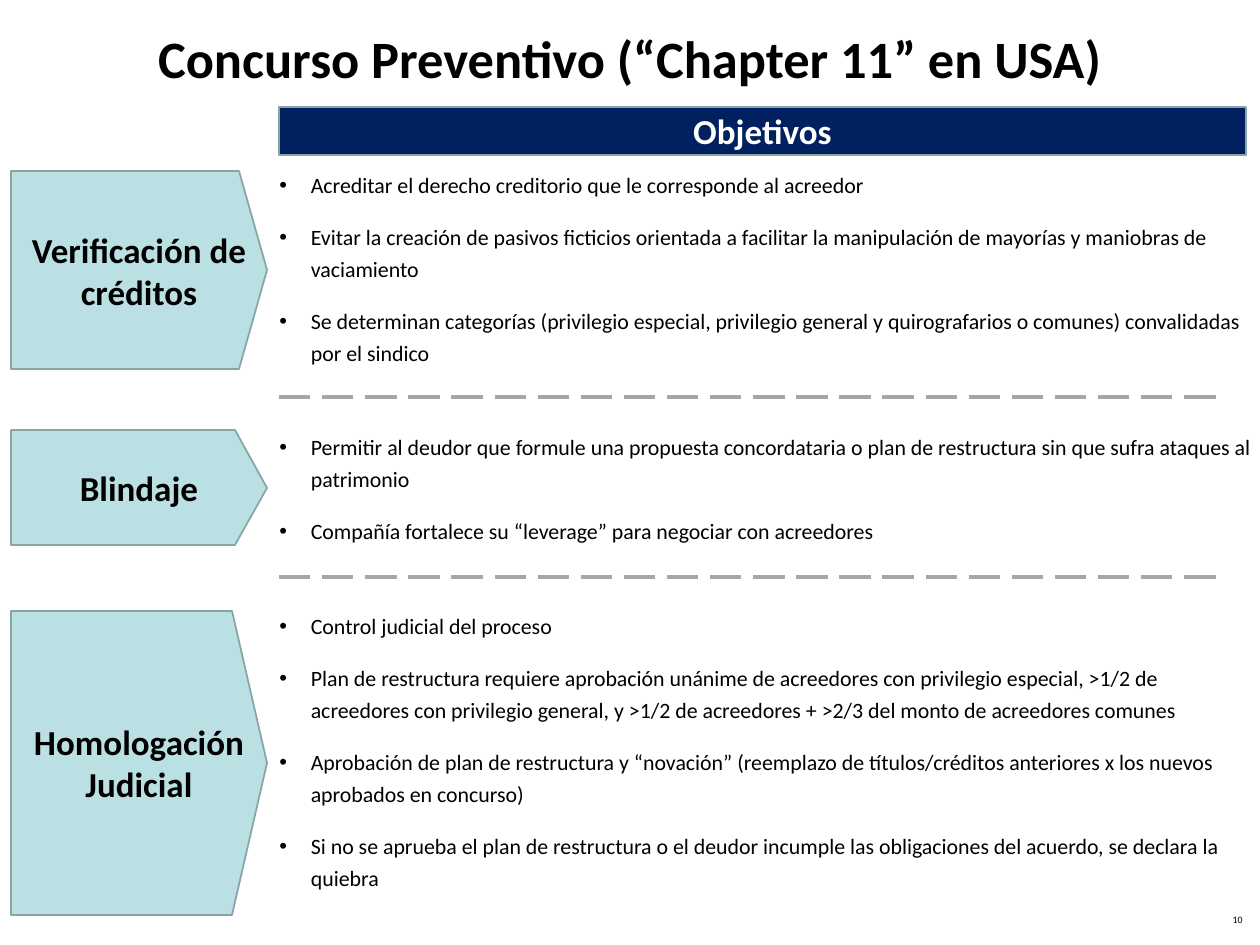
from lxml.etree import SubElement
from pptx import Presentation
from pptx.dml.color import RGBColor
from pptx.enum.dml import MSO_LINE
from pptx.enum.shapes import MSO_CONNECTOR as CONN, MSO_SHAPE as SHAPE
from pptx.enum.text import MSO_ANCHOR as ANCHOR, PP_ALIGN as ALIGN
from pptx.oxml.ns import qn
from pptx.util import Emu, Pt

PX = 914400 / 126
BLACK = RGBColor(0x00, 0x00, 0x00)
WHITE = RGBColor(0xFF, 0xFF, 0xFF)
NAVY = RGBColor(0x00, 0x20, 0x60)
TEAL = RGBColor(0xBB, 0xE0, 0xE3)
EDGE = RGBColor(0x89, 0xA4, 0xA7)
GRAY = RGBColor(0xA6, 0xA6, 0xA6)

STAGES = [
    ("Verificación de créditos", (11, 171, 256, 198), 28, [
        "Acreditar el derecho creditorio que le corresponde al acreedor",
        "Evitar la creación de pasivos ficticios orientada a facilitar la "
        "manipulación de mayorías y maniobras de vaciamiento",
        "Se determinan categorías (privilegio especial, privilegio general y "
        "quirografarios o comunes) convalidadas por el sindico",
    ]),
    ("Blindaje", (11, 430, 256, 115), 32, [
        "Permitir al deudor que formule una propuesta concordataria o plan de "
        "restructura sin que sufra ataques al patrimonio",
        "Compañía fortalece su “leverage” para negociar con acreedores",
    ]),
    ("Homologación Judicial", (11, 611, 256, 304), 35, [
        "Control judicial del proceso",
        "Plan de restructura requiere aprobación unánime de acreedores con "
        "privilegio especial, >1/2 de acreedores con privilegio general, y "
        ">1/2 de acreedores + >2/3 del monto de acreedores comunes",
        "Aprobación de plan de restructura y “novación” (reemplazo de "
        "títulos/créditos anteriores x los nuevos aprobados en concurso)",
        "Si no se aprueba el plan de restructura o el deudor incumple las "
        "obligaciones del acuerdo, se declara la quiebra",
    ]),
]


def px(*values):
    """Turn pixel lengths into a list of EMU lengths."""
    return [Emu(round(v * PX)) for v in values]


def set_attrs(obj, **values):
    """Set each named attribute on an object."""
    for name, value in values.items():
        setattr(obj, name, value)


def write(p, text, size, color=BLACK, bold=False, **layout):
    """Put one formatted run in a paragraph."""
    set_attrs(p, **layout)
    r = p.add_run()
    r.text = text
    set_attrs(r.font, name="Calibri", size=Pt(size), bold=bold)
    r.font.color.rgb = color


def frame(sp, anchor):
    """Return the wrapped text frame of a shape."""
    tf = sp.text_frame
    set_attrs(tf, word_wrap=True, vertical_anchor=anchor)
    return tf


def paint(sp, fill):
    """Give a shape its fill, thin edge and no shadow."""
    sp.shadow.inherit = False
    sp.fill.solid()
    sp.fill.fore_color.rgb = fill
    sp.line.color.rgb = EDGE
    sp.line.width = Pt(1)


def add_label(s, box, text, size, anchor, **layout):
    """Add a text box holding one paragraph."""
    tf = frame(s.shapes.add_textbox(*px(*box)), anchor)
    write(tf.paragraphs[0], text, size, **layout)


def add_header(s, box):
    """Add the column header bar."""
    sp = s.shapes.add_shape(SHAPE.RECTANGLE, *px(*box))
    paint(sp, NAVY)
    p = frame(sp, ANCHOR.MIDDLE).paragraphs[0]
    write(p, "Objetivos", 20, WHITE, True, alignment=ALIGN.CENTER)


def add_stage(s, box, tip, name):
    """Add a stage block whose right side ends in a point."""
    x, y, w, h = box
    outline = s.shapes.build_freeform(x, y, scale=PX)
    outline.add_line_segments([(x + w - tip, y), (x + w, y + h / 2),
                               (x + w - tip, y + h), (x, y + h)], close=True)
    sp = outline.convert_to_shape()
    paint(sp, TEAL)
    p = frame(sp, ANCHOR.MIDDLE).paragraphs[0]
    write(p, name, 20, bold=True, alignment=ALIGN.CENTER, line_spacing=Pt(24))


def add_divider(s, x, y, w):
    """Add a dashed horizontal line."""
    cn = s.shapes.add_connector(CONN.STRAIGHT, *px(x, y, x + w, y))
    cn.line.color.rgb = GRAY
    set_attrs(cn.line, width=Pt(2.25), dash_style=MSO_LINE.LONG_DASH)
    SubElement(cn._element.spPr, qn("a:effectLst"))


def add_bullet(p):
    """Give a paragraph a hanging round bullet."""
    pPr = p._p.get_or_add_pPr()
    pPr.set("marL", "228600")
    pPr.set("indent", "-228600")
    color = SubElement(pPr, qn("a:buClr"))
    SubElement(color, qn("a:srgbClr"), val=str(BLACK))
    SubElement(pPr, qn("a:buFont"), typeface="Arial")
    SubElement(pPr, qn("a:buChar"), char="•")


def add_objectives(s, box, groups):
    """Add the bulleted objectives, with a wide gap between groups."""
    tf = frame(s.shapes.add_textbox(*px(*box)), ANCHOR.TOP)
    for g, items in enumerate(groups):
        for i, text in enumerate(items):
            p = tf.add_paragraph() if g or i else tf.paragraphs[0]
            gap = 36 if g and not i else 12
            write(p, text, 12.5, line_spacing=Pt(18), space_before=Pt(gap))
            add_bullet(p)


def main():
    """Build and save the slide."""
    prs = Presentation()
    prs.slide_width, prs.slide_height = px(1260, 945)
    s = prs.slides.add_slide(prs.slide_layouts[6])
    add_label(s, (961, 910, 294, 26), "10", 5.6, ANCHOR.TOP,
              alignment=ALIGN.RIGHT, line_spacing=0.8)
    add_label(s, (0, 0, 1260, 115), "Concurso Preventivo (“Chapter 11” en USA)",
              30, ANCHOR.MIDDLE, bold=True, alignment=ALIGN.CENTER)
    add_header(s, (279, 107, 967, 48))
    for name, box, tip, _ in STAGES:
        add_stage(s, box, tip, name)
    add_objectives(s, (267, 160, 998, 649), [stage[3] for stage in STAGES])
    for y in (397, 577):
        add_divider(s, 279, y, 941)
    prs.save("out.pptx")


if __name__ == "__main__":
    main()
